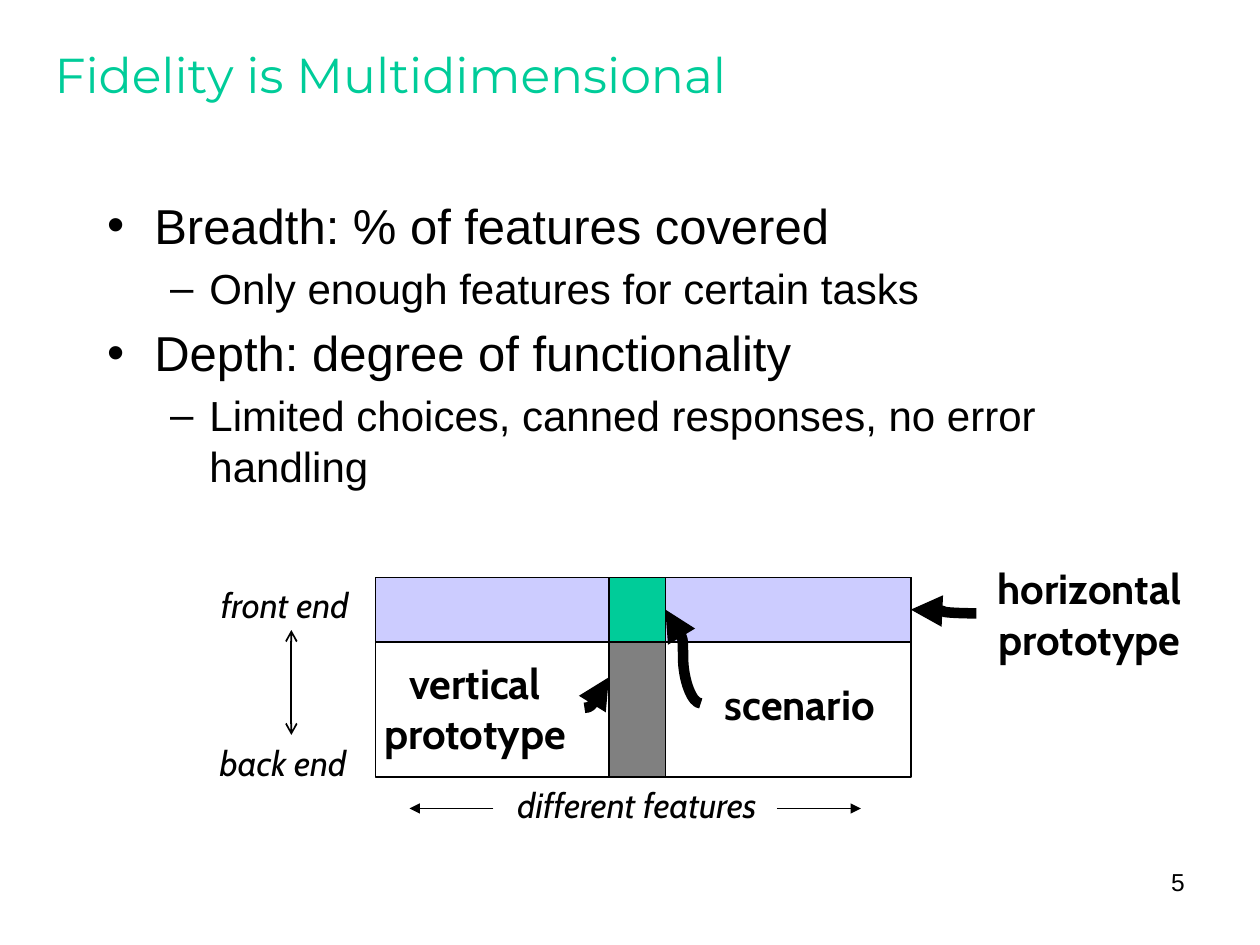
"""Build a slide on breadth and depth of prototype fidelity."""
from lxml.etree import SubElement
from pptx import Presentation
from pptx.dml.color import RGBColor
from pptx.enum.shapes import MSO_CONNECTOR, MSO_SHAPE
from pptx.enum.text import MSO_ANCHOR, MSO_AUTO_SIZE, PP_ALIGN
from pptx.oxml.ns import qn
from pptx.util import Pt

BLACK, WHITE, GREEN, LILAC, GREY = "000000", "FFFFFF", "00CC99", "CCCCFF", "808080"


def color(hex_value):
    return RGBColor.from_string(hex_value)


def assign(target, values):
    for name, value in values.items():
        setattr(target, name, value)


class SlideBuilder:
    title_font = {"name": "Montserrat", "size": Pt(28)}
    body_fonts = [{"name": "Arial", "size": Pt(28)}, {"name": "Arial", "size": Pt(24)}]
    number_font = {"name": "Arial", "size": Pt(14)}
    label_font = {"name": "Cabin", "size": Pt(24), "bold": True}
    axis_font = {"name": "Cabin", "size": Pt(20), "italic": True}

    def __init__(self, presentation):
        self.slide = presentation.slides.add_slide(presentation.slide_layouts[1])

    def place(self, shape, left, top, width, height):
        assign(shape, {"left": Pt(left), "top": Pt(top), "width": Pt(width), "height": Pt(height)})

    def fill_paragraph(self, paragraph, text, font, hex_value=BLACK, alignment=PP_ALIGN.LEFT):
        paragraph.text = text
        paragraph.alignment = alignment
        for run in paragraph.runs:
            assign(run.font, font)
            run.font.color.rgb = color(hex_value)

    def title(self, text, *box):
        shape = self.slide.shapes.title
        self.place(shape, *box)
        assign(shape.text_frame, {"vertical_anchor": MSO_ANCHOR.MIDDLE, "auto_size": MSO_AUTO_SIZE.NONE})
        self.fill_paragraph(shape.text_frame.paragraphs[0], text, self.title_font, GREEN)

    def body(self, items, *box):
        shape = self.slide.placeholders[1]
        self.place(shape, *box)
        frame = shape.text_frame
        frame.auto_size = MSO_AUTO_SIZE.NONE
        for index, (level, text) in enumerate(items):
            paragraph = frame.add_paragraph() if index else frame.paragraphs[0]
            paragraph.level = level
            self.fill_paragraph(paragraph, text, self.body_fonts[level])
        frame.paragraphs[0].space_before = Pt(0)

    def number(self, text, *box):
        shape = self.slide.shapes.add_textbox(*map(Pt, box))
        shape.text_frame.word_wrap = True
        self.fill_paragraph(shape.text_frame.paragraphs[0], text, self.number_font, alignment=PP_ALIGN.RIGHT)

    def label(self, text, font, *box):
        shape = self.slide.shapes.add_textbox(*map(Pt, box))
        assign(shape.text_frame, {"word_wrap": False, "auto_size": MSO_AUTO_SIZE.SHAPE_TO_FIT_TEXT})
        self.fill_paragraph(shape.text_frame.paragraphs[0], text, font, alignment=PP_ALIGN.CENTER)

    def rectangle(self, fill, *box):
        shape = self.slide.shapes.add_shape(MSO_SHAPE.RECTANGLE, *map(Pt, box))
        shape.shadow.inherit = False
        shape.fill.solid()
        shape.fill.fore_color.rgb = color(fill)
        shape.line.color.rgb = color(BLACK)
        shape.line.width = Pt(1)

    def arrow(self, kind, width, ends, *points):
        connector = self.slide.shapes.add_connector(kind, *map(Pt, points))
        connector.line.color.rgb = color(BLACK)
        connector.line.width = Pt(width)
        properties = connector._element.spPr
        for tag, end in ends.items():
            SubElement(properties.find(qn("a:ln")), qn(tag), type=end)
        SubElement(properties, qn("a:effectLst"))


def main():
    presentation = Presentation()
    assign(presentation, {"slide_width": Pt(720), "slide_height": Pt(540)})
    builder = SlideBuilder(presentation)
    builder.title("Fidelity is Multidimensional", 24, 12, 666, 60)
    builder.body([
        (0, "Breadth: % of features covered"),
        (1, "Only enough features for certain tasks"),
        (0, "Depth: degree of functionality"),
        (1, "Limited choices, canned responses, no error handling"),
    ], 54, 108, 612, 372)
    builder.number("5", 594, 492, 90, 37.5)

    left, top, width, height = 214.5, 330, 306, 114
    column_left, column_width, front_height = 348, 32.25, 36.75
    builder.rectangle(WHITE, left, top, width, height)
    builder.rectangle(LILAC, left, top, width, front_height)
    builder.rectangle(GREY, column_left, top, column_width, height)
    builder.rectangle(GREEN, column_left, top, column_width, front_height)

    for text, font, *box in [
        ("horizontal\vprototype", builder.label_font, 558, 318, 129, 65),
        ("vertical\vprototype", builder.label_font, 209, 372, 125, 65),
        ("scenario", builder.label_font, 400.5, 384, 113, 36),
        ("front end", builder.axis_font, 116, 330, 93.5, 31),
        ("back end", builder.axis_font, 114, 420, 95.5, 31),
        ("different features", builder.axis_font, 282, 444, 164, 31),
    ]:
        builder.label(text, font, *box)

    single = {"a:tailEnd": "triangle"}
    double = {"a:headEnd": "arrow", "a:tailEnd": "arrow"}
    builder.arrow(MSO_CONNECTOR.STRAIGHT, 1, double, 166.5, 420, 166.5, 360)
    for start, end in [(282, 234), (444, 492)]:
        builder.arrow(MSO_CONNECTOR.STRAIGHT, 1, single, start, 462, end, 462)

    front_middle = top + front_height / 2
    column_right = column_left + column_width
    for points in [
        (334, 404.5, column_left, top + height / 2),
        (558, 350.5, left + width, front_middle),
        (400.5, 402, column_right, front_middle),
    ]:
        builder.arrow(MSO_CONNECTOR.CURVE, 6, single, *points)
    presentation.save("out.pptx")


if __name__ == "__main__":
    main()
